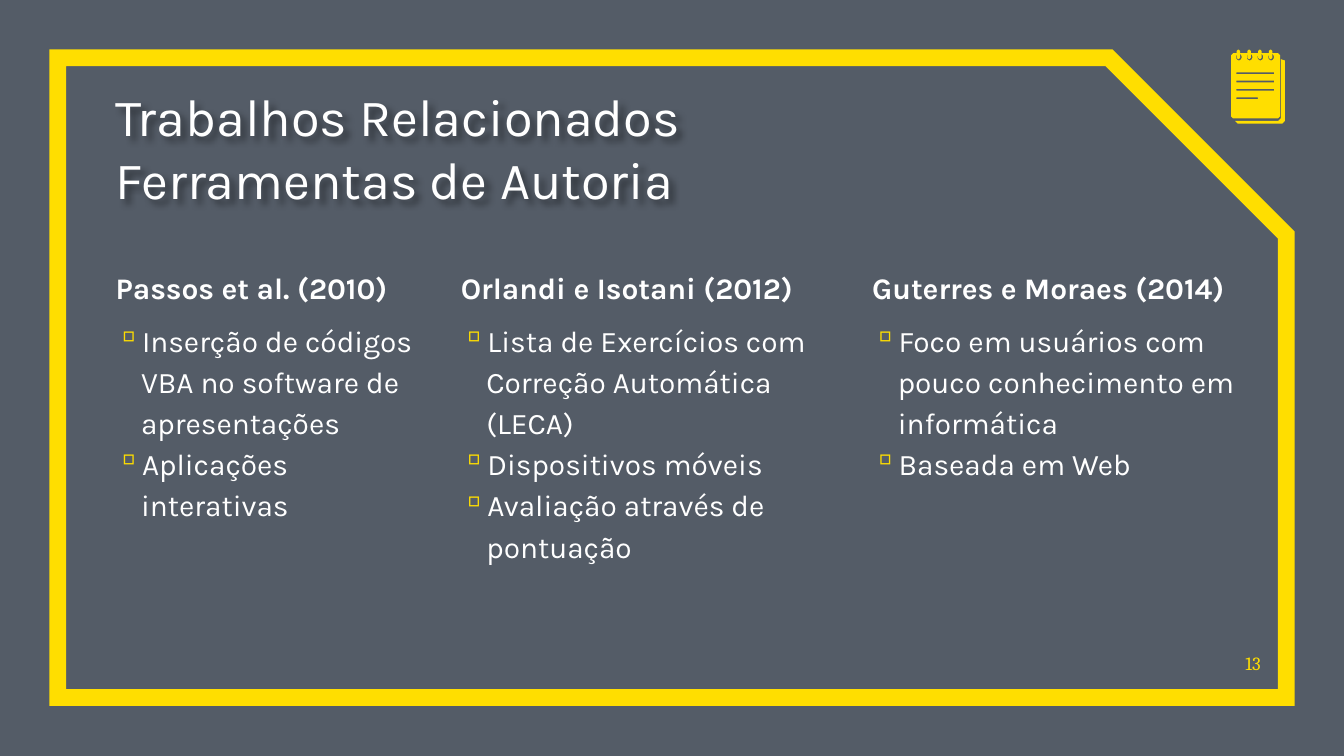
"""Build the related-work slide about authoring tools."""
import math

from lxml import etree
from pptx import Presentation
from pptx import util as u
from pptx.dml.color import RGBColor
from pptx.enum import shapes, text
from pptx.oxml.ns import qn

COLUMNS, ROWS = 100, 56.25
CELL = u.Inches(10) // COLUMNS
YELLOW, WHITE, NAVY = "FFDE00", "FFFFFF", "040F20"
TOOLS = [
    (8.6, 22.1, "Passos et al. (2010)",
     ["Inserção de códigos VBA no software de apresentações",
      "Aplicações interativas"]),
    (34.3, 25.7, "Orlandi e Isotani (2012)",
     ["Lista de Exercícios com Correção Automática (LECA)",
      "Dispositivos móveis", "Avaliação através de pontuação"]),
    (64.9, 27.4, "Guterres e Moraes (2014)",
     ["Foco em usuários com pouco conhecimento em informática",
      "Baseada em Web"]),
]


def grid(*cells):
    """Turn grid cells into slide lengths."""
    return [u.Emu(round(cell * CELL)) for cell in cells]


def color(value):
    """Return the colour of a hex string."""
    return RGBColor.from_string(value)


def child(parent, tag, **attributes):
    """Append a drawing element and return it."""
    values = {name: str(value) for name, value in attributes.items()}
    return etree.SubElement(parent, qn(tag), values)


def paint(shape, fill):
    """Give a shape a plain fill without outline or shadow."""
    shape.shadow.inherit = False
    shape.fill.solid()
    shape.fill.fore_color.rgb = color(fill)
    shape.line.fill.background()


def add_backdrop(slide):
    """Cover the slide with a translucent navy sheet."""
    sheet = slide.shapes.add_shape(
        shapes.MSO_SHAPE.RECTANGLE, *grid(0, 0, COLUMNS, ROWS))
    paint(sheet, NAVY)
    tint = sheet.fill._xPr.find(qn("a:solidFill"))[0]
    child(tint, "a:alpha", val=68000)


def add_frame(slide):
    """Draw the thick frame with its cut corner."""
    frame = slide.shapes.add_shape(
        shapes.MSO_SHAPE.SNIP_1_RECTANGLE, *grid(4.3, 4.3, 91.4, 47.6))
    frame.shadow.inherit = False
    frame.adjustments[0] = 0.277
    frame.fill.background()
    frame.line.color.rgb = color(YELLOW)
    frame.line.width = u.Pt(9)
    child(frame.line._get_or_add_ln(), "a:miter", lim=800000)


def add_text(slide, area, lines, anchor=text.MSO_ANCHOR.TOP):
    """Add a wrapping box without margins, one paragraph a line."""
    box = slide.shapes.add_textbox(*grid(*area))
    frame = box.text_frame
    frame.word_wrap = True
    frame.vertical_anchor = anchor
    frame.margin_left = frame.margin_right = 0
    frame.margin_top = frame.margin_bottom = 0
    frame.text = "\n".join(lines)
    return box


def style(para, size, font="Karla", fill=WHITE, bold=False):
    """Format every run of a paragraph."""
    for span in para.runs:
        span.font.size = u.Pt(size)
        span.font.name = font
        span.font.bold = bold
        span.font.color.rgb = color(fill)


def add_title(slide):
    """Add the two-line title with a soft shadow."""
    box = add_text(slide, (8.6, 5.8, 73.5, 9.8),
                   ["Trabalhos Relacionados", "Ferramentas de Autoria"],
                   text.MSO_ANCHOR.BOTTOM)
    for para in box.text_frame.paragraphs:
        style(para, 28)
    effects = child(box._element.spPr, "a:effectLst")
    shadow = child(effects, "a:outerShdw", blurRad=u.Pt(4), dist=u.Pt(3),
                   dir=2700000, algn="tl", rotWithShape=0)
    child(child(shadow, "a:srgbClr", val="000000"), "a:alpha", val=43000)


def add_bullet(para):
    """Give a paragraph a hanging yellow square bullet."""
    props = para._p.get_or_add_pPr()
    props.set("marL", str(u.Inches(0.19)))
    props.set("indent", str(u.Inches(-0.24)))
    child(child(props, "a:buClr"), "a:srgbClr", val=YELLOW)
    child(props, "a:buChar", char="▫")


def add_tool(slide, left, width, heading, points):
    """Add one column with a bold heading and bullet points."""
    box = add_text(slide, (left, 19.7, width, 26.4), [heading, *points])
    for index, para in enumerate(box.text_frame.paragraphs):
        para.line_spacing = 1.15
        para.space_before = u.Pt(6 if index == 1 else 0)
        if index:
            add_bullet(para)
        style(para, 16, bold=index == 0)


def add_page_number(slide):
    """Add the page number in the lower right corner."""
    box = add_text(slide, (91.1, 47.4, 2.7, 2.8), ["13"],
                   text.MSO_ANCHOR.BOTTOM)
    para = box.text_frame.paragraphs[0]
    para.alignment = text.PP_ALIGN.RIGHT
    style(para, 10, "Cambria", YELLOW)


def oval(x, y, across, down):
    """Return the points of an ellipse around a centre."""
    turns = [math.tau * step / 16 for step in range(16)]
    return [(x + across * math.cos(turn), y + down * math.sin(turn))
            for turn in turns]


def block(left, top, width, height, cut=0):
    """Return the points of a rectangle with trimmed corners."""
    right, bottom = left + width, top + height
    return [(left + cut, top), (right - cut, top), (right, top + cut),
            (right, bottom - cut), (right - cut, bottom),
            (left + cut, bottom), (left, bottom - cut), (left, top + cut)]


def add_outline(slide, contours):
    """Draw closed contours as one yellow freeform."""
    first, *others = [[grid(*point) for point in contour]
                      for contour in contours]
    builder = slide.shapes.build_freeform(*first[0])
    builder.add_line_segments(first[1:])
    for contour in others:
        builder.move_to(*contour[0])
        builder.add_line_segments(contour[1:])
    paint(builder.convert_to_shape(), YELLOW)


def add_notepad(slide):
    """Draw the notepad with its back sheet, rings and written lines."""
    rings = [92.15 + 0.8 * index for index in range(4)]
    add_outline(slide, [[(95.3, 4.4), (95.3, 8.8), (95.1, 9), (91.9, 9),
                         (92.1, 9.2), (95.4, 9.2), (95.6, 9), (95.6, 4.5)]])
    for ring in rings:
        add_outline(slide, [block(ring - 0.13, 3.7, 0.26, 0.7, 0.1)])
    holes = [oval(ring + 0.03, 4.25, 0.21, 0.25) for ring in rings]
    writing = [block(92, 5.39 + 0.62 * row, width, 0.13)
               for row, width in enumerate([2.8, 2.8, 2.8, 1.6])]
    add_outline(slide, [block(91.6, 3.96, 3.64, 4.86, 0.15),
                        *holes, *writing])


def main():
    """Build and save the slide."""
    deck = Presentation()
    deck.slide_width, deck.slide_height = grid(COLUMNS, ROWS)
    slide = deck.slides.add_slide(deck.slide_layouts[6])
    add_backdrop(slide)
    add_frame(slide)
    add_title(slide)
    add_page_number(slide)
    add_notepad(slide)
    for tool in TOOLS:
        add_tool(slide, *tool)
    deck.save("out.pptx")


if __name__ == "__main__":
    main()
